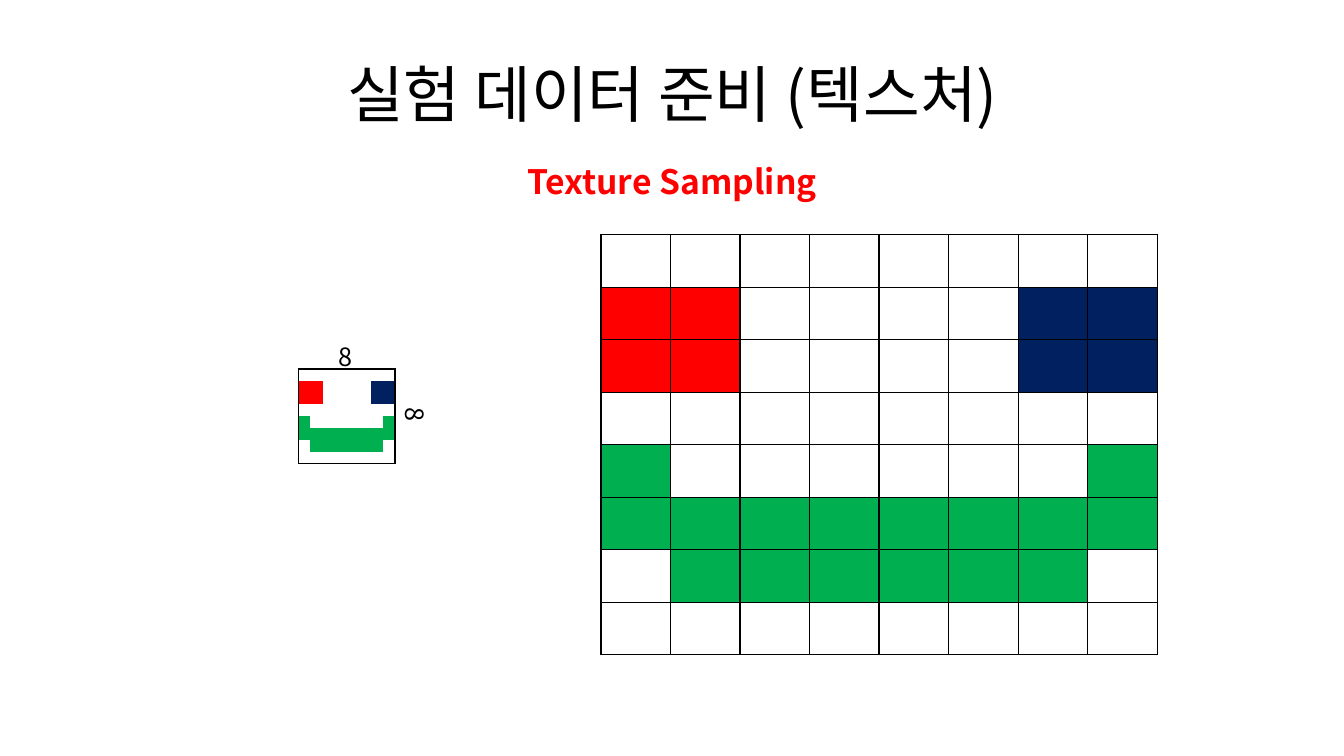
from lxml import etree
from pptx import Presentation
from pptx.dml.color import RGBColor
from pptx.enum.text import MSO_ANCHOR, MSO_AUTO_SIZE, PP_ALIGN
from pptx.oxml.ns import qn
from pptx.util import Pt

PX = 9144  # 100 px to the inch
FONT = "Noto Sans CJK KR"
CENTER = PP_ALIGN.CENTER
MIDDLE = MSO_ANCHOR.MIDDLE
NO_FIT = MSO_AUTO_SIZE.NONE
FIT_SHAPE = MSO_AUTO_SIZE.SHAPE_TO_FIT_TEXT
BLACK = "000000"
TEXEL_COLORS = {"R": "FF0000", "B": "002060", "G": "00B050"}
TEXTURE = [
    "........",
    "RR....BB",
    "RR....BB",
    "........",
    "G......G",
    "GGGGGGGG",
    ".GGGGGG.",
    "........",
]
SIZE = len(TEXTURE)


def px(*lengths):
    return [length * PX for length in lengths]


def rgb(value):
    return RGBColor.from_string(value)


def write(frame, text, size, color=BLACK, bold=False):
    para = frame.paragraphs[0]
    para.text = text
    para.alignment = CENTER
    font = para.font
    font.size, font.bold, font.name = Pt(size), bold, FONT
    font.color.rgb = rgb(color)
    defaults = para._p.get_or_add_pPr().find(qn("a:defRPr"))
    east_asian = etree.SubElement(defaults, qn("a:ea"))
    east_asian.set("typeface", FONT)


def add_title(page, box, text):
    title = page.shapes.title
    title.left, title.top, title.width, title.height = px(*box)
    frame = title.text_frame
    frame.auto_size, frame.vertical_anchor = NO_FIT, MIDDLE
    write(frame, text, 44)


def add_label(page, box, text, size, color=BLACK, bold=False, rotation=0):
    label = page.shapes.add_textbox(*px(*box))
    label.rotation = rotation
    frame = label.text_frame
    frame.word_wrap, frame.auto_size = True, FIT_SHAPE
    write(frame, text, size, color, bold)


def set_border(cell, side, visible):
    line = etree.SubElement(cell._tc.get_or_add_tcPr(), qn(f"a:ln{side}"))
    line.set("w", str(Pt(1)))
    if visible:
        fill = etree.SubElement(line, qn("a:solidFill"))
        etree.SubElement(fill, qn("a:srgbClr")).set("val", BLACK)
    else:
        etree.SubElement(line, qn("a:noFill"))


def add_texture(page, box, inner_lines):
    left, top, width, height = px(*box)
    table = page.shapes.add_table(SIZE, SIZE, left, top, width, height).table
    table.first_row = table.horz_banding = False
    for index in range(SIZE):
        table.columns[index].width = width // SIZE
        table.rows[index].height = height // SIZE
    for row, texels in enumerate(TEXTURE):
        for column, texel in enumerate(texels):
            cell = table.cell(row, column)
            cell.margin_left = cell.margin_right = 0
            cell.margin_top = cell.margin_bottom = 0
            # Small empty text keeps the rows at their set height
            para = cell.text_frame.paragraphs[0]
            etree.SubElement(para._p, qn("a:endParaRPr")).set("sz", "400")
            outer_edges = {"L": column == 0, "R": column == SIZE - 1,
                           "T": row == 0, "B": row == SIZE - 1}
            for side, is_outer in outer_edges.items():
                set_border(cell, side, inner_lines or is_outer)
            if texel in TEXEL_COLORS:
                cell.fill.solid()
                cell.fill.fore_color.rgb = rgb(TEXEL_COLORS[texel])
            else:
                cell.fill.background()


def add_small_texture(page, box):
    left, top, width, height = box
    add_texture(page, box, inner_lines=False)
    # Size labels above and to the right
    add_label(page, (left, top - 32, 94, 40), str(SIZE), 18)
    add_label(page, (left + 69, top + 25, 94, 40), str(SIZE), 18, rotation=90)


def main():
    deck = Presentation()
    deck.slide_width, deck.slide_height = px(1333, 750)
    page = deck.slides.add_slide(deck.slide_layouts[5])

    # Headings
    add_title(page, (67, 30, 1200, 125), "실험 데이터 준비 (텍스처)")
    add_label(page, (446, 155, 441, 50), "Texture Sampling", 24,
              TEXEL_COLORS["R"], bold=True)

    # Enlarged texture and its source
    add_texture(page, (596, 233, 552, 417), inner_lines=True)
    add_small_texture(page, (296, 366, 96, 94))

    deck.save("out.pptx")


if __name__ == "__main__":
    main()
